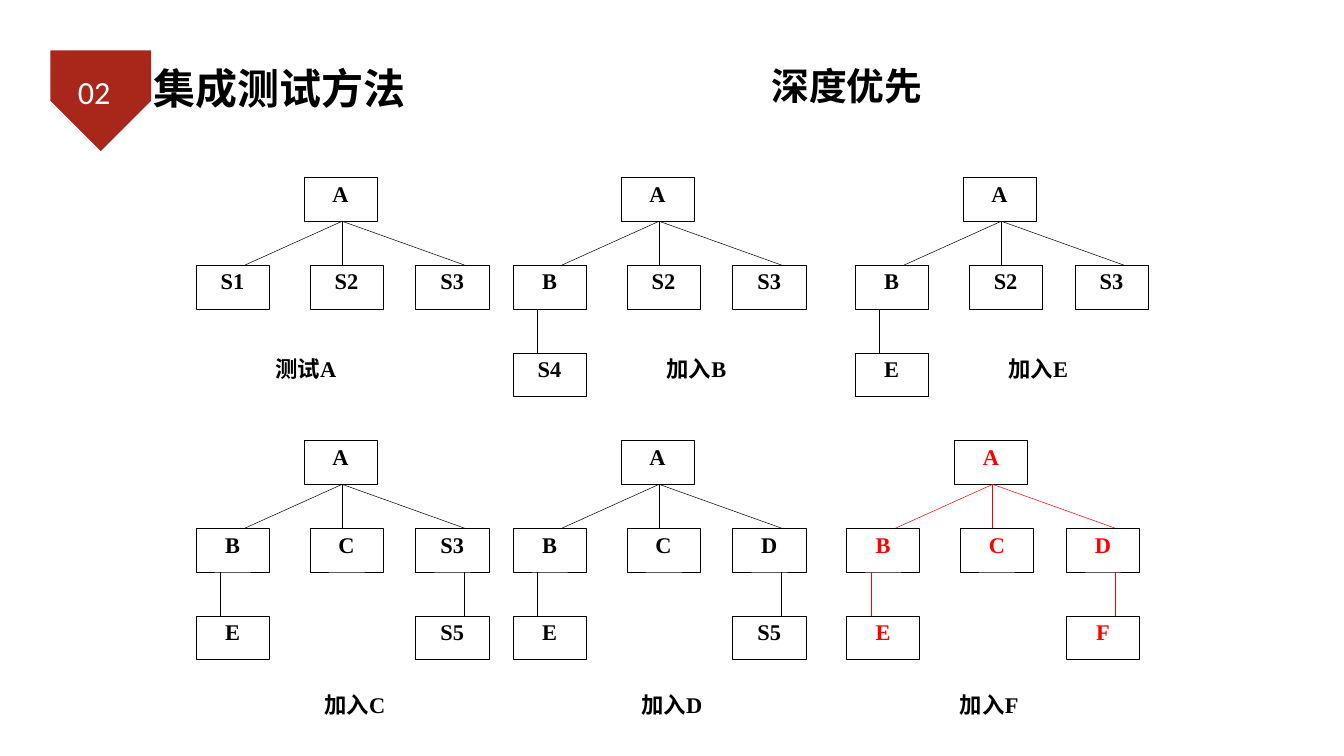
from dataclasses import dataclass

from lxml import etree
from pptx import Presentation
from pptx.dml.color import RGBColor
from pptx.enum import shapes, text
from pptx.oxml import ns
from pptx.util import Inches, Pt


@dataclass(frozen=True)
class Theme:
    black: str = "000000"
    white: str = "FFFFFF"
    red: str = "FF0000"
    badge: str = "A8271A"
    latin: str = "Times New Roman"
    chinese: str = "Noto Sans CJK SC"
    number: str = "Calibri"
    title_size: int = 60
    subtitle_size: int = 54
    number_size: int = 46
    node_size: int = 32
    line_width: float = 0.75


THEME = Theme()
NODE_W, NODE_H, ROW_STEP = 1.45, 0.87, 1.74
ROOT_X, HUB_X = 2.14, 2.9
CHILD_X = (0, 2.26, 4.36)      # left edges of the second row
BRANCH_X = (0.97, HUB_X, 5.33)  # where branches reach the second row
LEAF_LINE_X = {0: 0.485, 2: 5.33}
CAPTION_W = 2.42


def write(shape, words, size, face, color=THEME.black, bold=True,
          align=text.PP_ALIGN.CENTER, anchor=text.MSO_ANCHOR.TOP,
          margin=None, wrap=True):
    frame = shape.text_frame
    settings = {"word_wrap": wrap, "vertical_anchor": anchor}
    if margin is not None:
        for side in ("left", "right", "top", "bottom"):
            settings[f"margin_{side}"] = Inches(margin)
    for name, value in settings.items():
        setattr(frame, name, value)
    para = frame.paragraphs[0]
    para.alignment = align
    span = para.add_run()
    span.text = words
    for name, value in {"size": Pt(size), "name": face, "bold": bold}.items():
        setattr(span.font, name, value)
    span.font.color.rgb = RGBColor.from_string(color)
    east_asian = etree.SubElement(span.font._element, ns.qn("a:ea"))
    east_asian.set("typeface", THEME.chinese)


def add_label(page, box, words, **style):
    write(page.shapes.add_textbox(*map(Inches, box)), words, **style)


def add_rectangle(page, box, words, color=THEME.black, outlined=True):
    shape = page.shapes.add_shape(shapes.MSO_SHAPE.RECTANGLE, *map(Inches, box))
    shape.shadow.inherit = False
    shape.fill.solid()
    shape.fill.fore_color.rgb = RGBColor.from_string(THEME.white)
    if outlined:
        shape.line.color.rgb = RGBColor.from_string(THEME.black)
        shape.line.width = Pt(THEME.line_width)
    else:
        shape.line.fill.background()
    write(shape, words, THEME.node_size, THEME.latin, color)


def add_line(page, start, end, color):
    line = page.shapes.add_connector(
        shapes.MSO_CONNECTOR.STRAIGHT, *map(Inches, start + end))
    line.line.color.rgb = RGBColor.from_string(color)
    line.line.width = Pt(THEME.line_width)
    etree.SubElement(line._element.spPr, ns.qn("a:effectLst"))


def rounded_outline(corners, share=0.2, steps=8):
    """Replace each corner with a sampled quadratic curve."""
    points = []
    for index, corner in enumerate(corners):
        before, after = corners[index - 1], corners[(index + 1) % len(corners)]
        start, end = ([c + (n - c) * share / 2 for c, n in zip(corner, near)]
                      for near in (before, after))
        for step in range(steps + 1):
            t = step / steps
            points.append(tuple(
                (1 - t) ** 2 * s + 2 * t * (1 - t) * c + t ** 2 * e
                for s, c, e in zip(start, corner, end)))
    return points


def add_badge(page, left, top, width, height):
    right, middle, bottom = left + width, left + width / 2, top + height
    corners = [(middle, top), (right, top + height / 4),
               (right, bottom - height / 4), (middle, bottom),
               (left, bottom - height / 4), (left, top + height / 4)]
    first, *rest = rounded_outline(corners)
    builder = page.shapes.build_freeform(*first, scale=Inches(1))
    builder.add_line_segments(rest, close=True)
    hexagon = builder.convert_to_shape()
    hexagon.shadow.inherit = False
    hexagon.fill.solid()
    hexagon.fill.fore_color.rgb = RGBColor.from_string(THEME.badge)
    hexagon.line.fill.background()
    add_label(page, (left - 0.06, top + 0.39, 1.74, 1.05), "02",
              size=THEME.number_size, face=THEME.number, color=THEME.white,
              bold=False, anchor=text.MSO_ANCHOR.MIDDLE, margin=0.05)


def add_header(page, left, top):
    add_badge(page, left, top, 1.6, 1.82)
    add_label(page, (left + 1.93, top + 0.28, 6.02, 1.14), "集成测试方法",
              size=THEME.title_size, face=THEME.chinese,
              align=text.PP_ALIGN.LEFT, anchor=text.MSO_ANCHOR.MIDDLE, margin=0.06)
    add_label(page, (left + 14.13, top + 0.3, 3.23, 1.01), "深度优先",
              size=THEME.subtitle_size, face=THEME.chinese, wrap=False)


def add_tree(page, left, top, children, leaves, caption, caption_at, color):
    """Root, three children, optional leaves {child column: name}, caption."""
    def node(x, row, words):
        box = (left + x, top + row * ROW_STEP, NODE_W, NODE_H)
        add_rectangle(page, box, words, color)

    node(ROOT_X, 0, "A")
    for x, end_x, name in zip(CHILD_X, BRANCH_X, children):
        node(x, 1, name)
        add_line(page, (left + end_x, top + ROW_STEP),
                 (left + HUB_X, top + NODE_H), color)
    for column, name in leaves.items():
        node(CHILD_X[column], 2, name)
        x = left + LEAF_LINE_X[column]
        add_line(page, (x, top + ROW_STEP + NODE_H), (x, top + 2 * ROW_STEP), color)
    add_rectangle(page, (left + caption_at[0], top + caption_at[1], CAPTION_W, NODE_H),
                  caption, outlined=False)


def main():
    deck = Presentation()
    deck.slide_width, deck.slide_height = Inches(26.67), Inches(15)
    page = deck.slides.add_slide(deck.slide_layouts[6])
    add_header(page, 1.06, 0.9)

    # Integration steps: two rows of three trees
    upper, lower = 3.52, 8.74
    beside, below = 3.48, 4.93
    black, red = THEME.black, THEME.red
    steps = [
        (3.89, upper, ("S1", "S2", "S3"), {}, "测试A", (0.97, beside), black),
        (10.18, upper, ("B", "S2", "S3"), {0: "S4"}, "加入B", (2.43, beside), black),
        (16.97, upper, ("B", "S2", "S3"), {0: "E"}, "加入E", (2.42, beside), black),
        (3.89, lower, ("B", "C", "S3"), {0: "E", 2: "S5"}, "加入C", (1.94, below), black),
        (10.18, lower, ("B", "C", "D"), {0: "E", 2: "S5"}, "加入D", (1.94, below), black),
        (16.8, lower, ("B", "C", "D"), {0: "E", 2: "F"}, "加入F", (1.62, below), red),
    ]
    for step in steps:
        add_tree(page, *step)
    deck.save("out.pptx")


if __name__ == "__main__":
    main()
